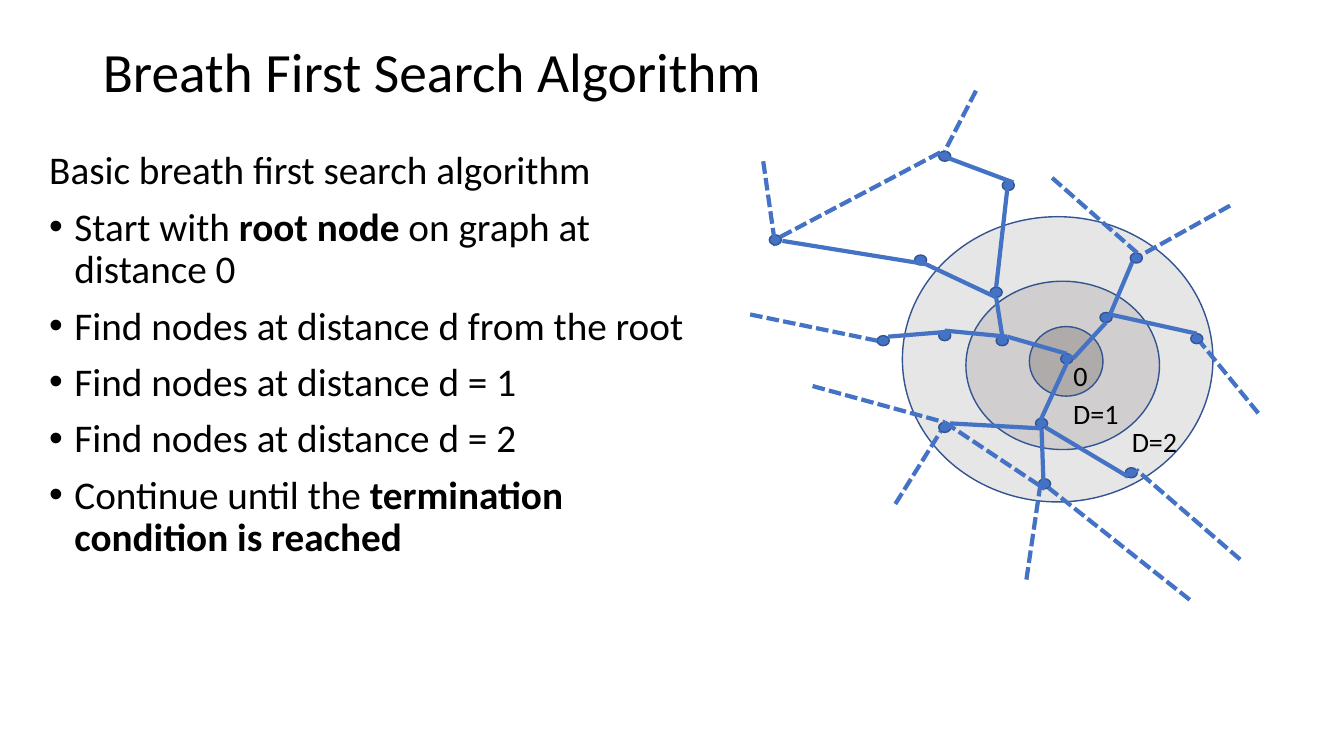
import dataclasses

import pptx
import pptx.dml.color
import pptx.enum.dml
import pptx.enum.shapes
import pptx.enum.text
import pptx.oxml
import pptx.oxml.ns
import pptx.util

Inches = pptx.util.Inches
Pt = pptx.util.Pt


@dataclasses.dataclass(frozen=True)
class Theme:
    font: str = "Calibri"
    text: str = "000000"
    edge: str = "4472C4"
    outline: str = "325491"
    outer_ring: str = "E7E6E6"
    middle_ring: str = "D0CECE"
    inner_ring: str = "AFABAB"
    title_size: float = 39.6
    body_size: float = 28
    label_size: float = 20
    outline_width: float = 1
    edge_width: float = 3


THEME = Theme()

TITLE = "Breath First Search Algorithm"
INTRO = [("Basic breath first search algorithm", False)]
STEPS = [
    [("Start with ", False), ("root node", True), (" on graph at distance 0", False)],
    [("Find nodes at distance d from the root", False)],
    [("Find nodes at distance d = 1", False)],
    [("Find nodes at distance d = 2", False)],
    [("Continue until the", False), (" termination condition is reached", True)],
]

RINGS = [
    (1.95, 2.15, 3.08, 2.83, THEME.outer_ring),
    (2.58, 2.79, 1.92, 1.67, THEME.middle_ring),
    (3.21, 3.24, 0.73, 0.69, THEME.inner_ring),
]
NODE_SIZE = (0.12, 0.1)
NODES = [
    (2.88, 3.33), (3.52, 3.51), (2.31, 3.28), (2.82, 2.85),
    (3.27, 4.15), (3.91, 3.1), (1.7, 3.33), (2.94, 1.79),
    (2.07, 2.53), (4.16, 4.64), (2.31, 4.19), (4.81, 3.31),
    (3.3, 4.75), (0.63, 2.33), (2.31, 1.5), (4.21, 2.51),
]
VISITED_EDGES = [
    (2.94, 3.33, 2.88, 2.95), (3.58, 3.51, 2.99, 3.34), (2.99, 3.34, 2.37, 3.28),
    (3.32, 4.17, 3.62, 3.52), (3.64, 3.56, 3.97, 3.2), (2.88, 2.85, 3, 1.79),
    (2.88, 2.95, 2.18, 2.62), (2.42, 3.29, 1.81, 3.34), (4.01, 3.12, 4.23, 2.6),
    (4.01, 3.12, 4.87, 3.31), (3.05, 1.81, 2.33, 1.54), (2.18, 2.62, 0.76, 2.39),
    (3.33, 4.25, 3.35, 4.8), (3.37, 4.24, 4.19, 4.73), (2.42, 4.2, 3.33, 4.25),
]
OPEN_EDGES = [
    (2.68, 0.9, 2.37, 1.5), (4.28, 2.51, 3.43, 1.76), (5.2, 2.04, 4.32, 2.53),
    (5.48, 4.1, 4.91, 3.4), (5.3, 5.55, 4.27, 4.66), (4.8, 5.95, 3.4, 4.84),
    (3.18, 5.75, 3.32, 4.8), (1.88, 5, 2.33, 4.28), (1.06, 3.83, 2.37, 4.19),
    (0.44, 3.12, 1.7, 3.38), (0.57, 1.6, 0.69, 2.44), (0.74, 2.35, 2.33, 1.51),
    (2.37, 4.19, 3.36, 4.85),
]
LABELS = [("D=1", 3.51, 3.88, 0.72), ("D=2", 4.09, 4.16, 0.72), ("0", 3.54, 3.51, 0.35)]
LABEL_HEIGHT = 0.44


def color(value):
    return pptx.dml.color.RGBColor.from_string(value)


def place(shape, box):
    shape.left, shape.top, shape.width, shape.height = map(Inches, box)


def add_run(paragraph, text, size, bold=False):
    run = paragraph.add_run()
    run.text = text
    run.font.name = THEME.font
    run.font.size = Pt(size)
    run.font.bold = bold
    run.font.color.rgb = color(THEME.text)


def add_bullet(paragraph):
    properties = paragraph._p.get_or_add_pPr()
    properties.set("marL", str(Inches(0.25)))
    properties.set("indent", str(-Inches(0.25)))
    namespace = pptx.oxml.ns.nsdecls("a")
    properties.append(pptx.oxml.parse_xml(f'<a:buFont {namespace} typeface="Arial"/>'))
    properties.append(pptx.oxml.parse_xml(f'<a:buChar {namespace} char="•"/>'))


def add_ellipse(slide, box, fill):
    ellipse = slide.shapes.add_shape(
        pptx.enum.shapes.MSO_SHAPE.OVAL, *map(Inches, box))
    ellipse.shadow.inherit = False
    ellipse.fill.solid()
    ellipse.fill.fore_color.rgb = color(fill)
    ellipse.line.color.rgb = color(THEME.outline)
    ellipse.line.width = Pt(THEME.outline_width)


def add_edge(slide, ends, dashed):
    edge = slide.shapes.add_connector(
        pptx.enum.shapes.MSO_CONNECTOR.STRAIGHT, *map(Inches, ends))
    edge.line.color.rgb = color(THEME.edge)
    edge.line.width = Pt(THEME.edge_width)
    if dashed:
        edge.line.dash_style = pptx.enum.dml.MSO_LINE.SQUARE_DOT
    edge._element.spPr.append(
        pptx.oxml.parse_xml(f'<a:effectLst {pptx.oxml.ns.nsdecls("a")}/>'))


def add_title(slide, box):
    title = slide.shapes.title
    place(title, box)
    frame = title.text_frame
    frame.auto_size = pptx.enum.text.MSO_AUTO_SIZE.NONE
    frame.vertical_anchor = pptx.enum.text.MSO_ANCHOR.MIDDLE
    paragraph = frame.paragraphs[0]
    paragraph.alignment = pptx.enum.text.PP_ALIGN.LEFT
    paragraph.line_spacing = 0.9
    add_run(paragraph, TITLE, THEME.title_size)


def add_body(slide, box):
    frame = slide.shapes.add_textbox(*map(Inches, box)).text_frame
    frame.word_wrap = True
    for index, runs in enumerate([INTRO, *STEPS]):
        paragraph = frame.add_paragraph() if index else frame.paragraphs[0]
        paragraph.line_spacing = 0.9
        paragraph.space_before = Pt(10)
        if index:
            add_bullet(paragraph)
        for text, bold in runs:
            add_run(paragraph, text, THEME.body_size, bold)


def add_label(slide, box, text):
    frame = slide.shapes.add_textbox(*map(Inches, box)).text_frame
    frame.word_wrap = True
    paragraph = frame.paragraphs[0]
    paragraph.alignment = pptx.enum.text.PP_ALIGN.CENTER
    add_run(paragraph, text, THEME.label_size)


def add_graph(slide, box):
    left, top = box[:2]
    for x, y, width, height, fill in RINGS:
        add_ellipse(slide, (left + x, top + y, width, height), fill)
    for x, y in NODES:
        add_ellipse(slide, (left + x, top + y, *NODE_SIZE), THEME.edge)
    for edges, dashed in ((VISITED_EDGES, False), (OPEN_EDGES, True)):
        for x1, y1, x2, y2 in edges:
            add_edge(slide, (left + x1, top + y1, left + x2, top + y2), dashed)
    for text, x, y, width in LABELS:
        add_label(slide, (left + x, top + y, width, LABEL_HEIGHT), text)


def main():
    presentation = pptx.Presentation()
    presentation.slide_width = Inches(13.33)
    presentation.slide_height = Inches(7.5)
    slide = presentation.slides.add_slide(presentation.slide_layouts[5])
    add_title(slide, (0.92, 0.4, 11.5, 0.68))
    add_body(slide, (0.39, 1.45, 6.6, 5.86))
    add_graph(slide, (7, 0, 6.33, 7.5))
    presentation.save("out.pptx")


if __name__ == "__main__":
    main()
